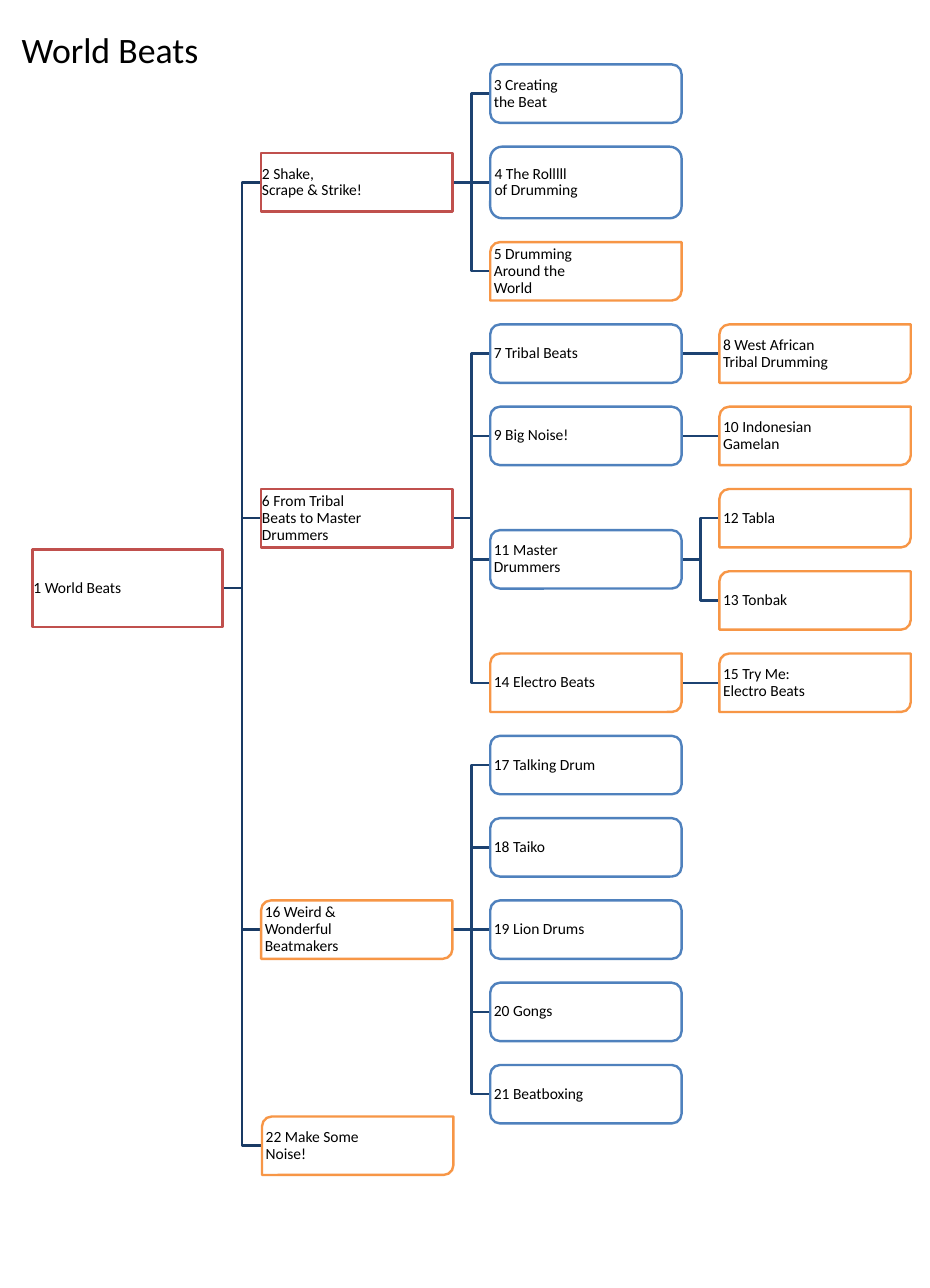
from dataclasses import dataclass

from pptx import Presentation
from pptx.dml.color import RGBColor as RGB
from pptx.enum.shapes import MSO_CONNECTOR as Link, MSO_SHAPE as Kind
from pptx.enum.text import MSO_ANCHOR as Anchor, PP_ALIGN as Align
from pptx.oxml.ns import qn
from pptx.util import Pt
from lxml.etree import SubElement


@dataclass(frozen=True)
class Theme:
    font: str = "Calibri"
    title: int = 30
    label: int = 13
    rule: int = 2
    ink: RGB = RGB(0, 0, 0)
    paper: RGB = RGB(255, 255, 255)
    red: RGB = RGB.from_string("C0504D")
    blue: RGB = RGB.from_string("4F81BD")
    orange: RGB = RGB.from_string("F79646")
    trunk: RGB = RGB.from_string("193A64")
    branch: RGB = RGB.from_string("1C4271")


theme = Theme()


def write(shape, text, size=theme.label, inset=None, spacing=None):
    frame = shape.text_frame
    frame.word_wrap = True
    frame.vertical_anchor = Anchor.MIDDLE
    if inset is not None:
        frame.margin_left = frame.margin_right = Pt(inset)
        frame.margin_top = frame.margin_bottom = Pt(inset)
    para = frame.paragraphs[0]
    para.text = text
    para.alignment = Align.LEFT
    para.line_spacing = spacing
    for run in para.runs:
        run.font.name = theme.font
        run.font.size = Pt(size)
        run.font.color.rgb = theme.ink


def stroke(shape, color):
    shape.line.color.rgb = color
    shape.line.width = Pt(theme.rule)


styles = {
    "part": (Kind.RECTANGLE, theme.red),
    "topic": (Kind.ROUNDED_RECTANGLE, theme.blue),
    "page": (Kind.ROUND_2_DIAG_RECTANGLE, theme.orange),
}

# Number: (parent, column, style, label)
nodes = {
    1: (None, 0, "part", "World Beats"),
    2: (1, 1, "part", "Shake,\nScrape & Strike!"),
    3: (2, 2, "topic", "Creating\nthe Beat"),
    4: (2, 2, "topic", "The Rolllll\nof Drumming"),
    5: (2, 2, "page", "Drumming\nAround the\nWorld"),
    6: (1, 1, "part", "From Tribal\nBeats to Master\nDrummers"),
    7: (6, 2, "topic", "Tribal Beats"),
    8: (7, 3, "page", "West African\nTribal Drumming"),
    9: (6, 2, "topic", "Big Noise!"),
    10: (9, 3, "page", "Indonesian\nGamelan"),
    11: (6, 2, "topic", "Master\nDrummers"),
    12: (11, 3, "page", "Tabla"),
    13: (11, 3, "page", "Tonbak"),
    14: (6, 2, "page", "Electro Beats"),
    15: (14, 3, "page", "Try Me:\nElectro Beats"),
    16: (1, 1, "page", "Weird &\nWonderful\nBeatmakers"),
    17: (16, 2, "topic", "Talking Drum"),
    18: (16, 2, "topic", "Taiko"),
    19: (16, 2, "topic", "Lion Drums"),
    20: (16, 2, "topic", "Gongs"),
    21: (16, 2, "topic", "Beatboxing"),
    22: (1, 1, "page", "Make Some\nNoise!"),
}

# Boxes as left, middle, width, height; these two stand off the grid
boxes = {1: (27.4, 493.2, 159.2, 65), 22: (219.8, 960.7, 160.5, 49)}
left, step, wide, high, gap = 26.8, 192.2, 160.5, 49, 20
tall = {4: 60}

# Leaves stack downwards, then each parent centres on its children
kids = {n: [k for k in nodes if nodes[k][0] == n] for n in nodes}
top = 54
for n, (_, col, _, _) in nodes.items():
    if n not in boxes and not kids[n]:
        size = tall.get(n, high)
        boxes[n] = (left + col * step, top + size / 2, wide, size)
        top += size + gap
for n in reversed(nodes):
    if n not in boxes:
        mid = (boxes[kids[n][0]][1] + boxes[kids[n][-1]][1]) / 2
        boxes[n] = (left + nodes[n][1] * step, mid, wide, high)

deck = Presentation()
deck.slide_width, deck.slide_height = Pt(780), Pt(1080)
slide = deck.slides.add_slide(deck.slide_layouts[5])
shapes = slide.shapes

title = shapes.title
title.left, title.top, title.width, title.height = Pt(11), Pt(7), Pt(351), Pt(68)
write(title, "World Beats", size=theme.title)

for n in reversed(nodes):
    parent = nodes[n][0]
    if parent is None:
        continue
    x, y, w, _ = boxes[parent]
    start, end, level = x + w, boxes[n][0], boxes[n][1]
    if y == level:
        line = shapes.add_connector(Link.STRAIGHT, Pt(start), Pt(y), Pt(end), Pt(y))
        SubElement(line.line._get_or_add_ln().getparent(), qn("a:effectLst"))
    else:
        bend = (start + end) / 2
        pen = shapes.build_freeform(Pt(start), Pt(y))
        turns = [(bend, y), (bend, level), (end, level)]
        pen.add_line_segments([(Pt(a), Pt(b)) for a, b in turns], close=False)
        line = pen.convert_to_shape()
        line.fill.background()
        line.shadow.inherit = False
    stroke(line, theme.trunk if parent == 1 else theme.branch)

for n, (_, _, style, label) in nodes.items():
    kind, color = styles[style]
    x, mid, w, h = boxes[n]
    box = shapes.add_shape(kind, Pt(x), Pt(mid - h / 2), Pt(w), Pt(h))
    box.shadow.inherit = False
    box.fill.solid()
    box.fill.fore_color.rgb = theme.paper
    stroke(box, color)
    write(box, f"{n} {label}", inset=0.7, spacing=0.9)

deck.save("out.pptx")
